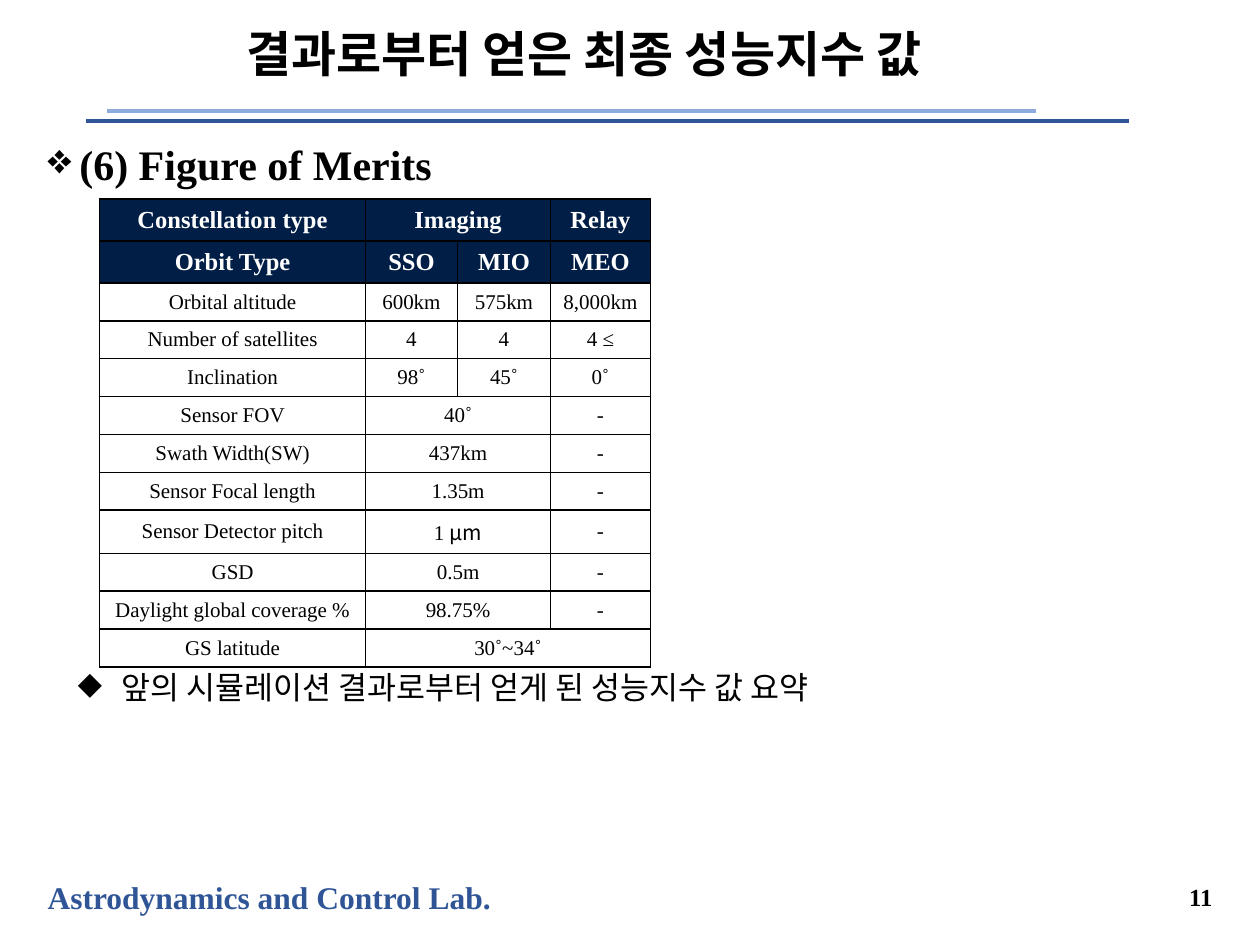
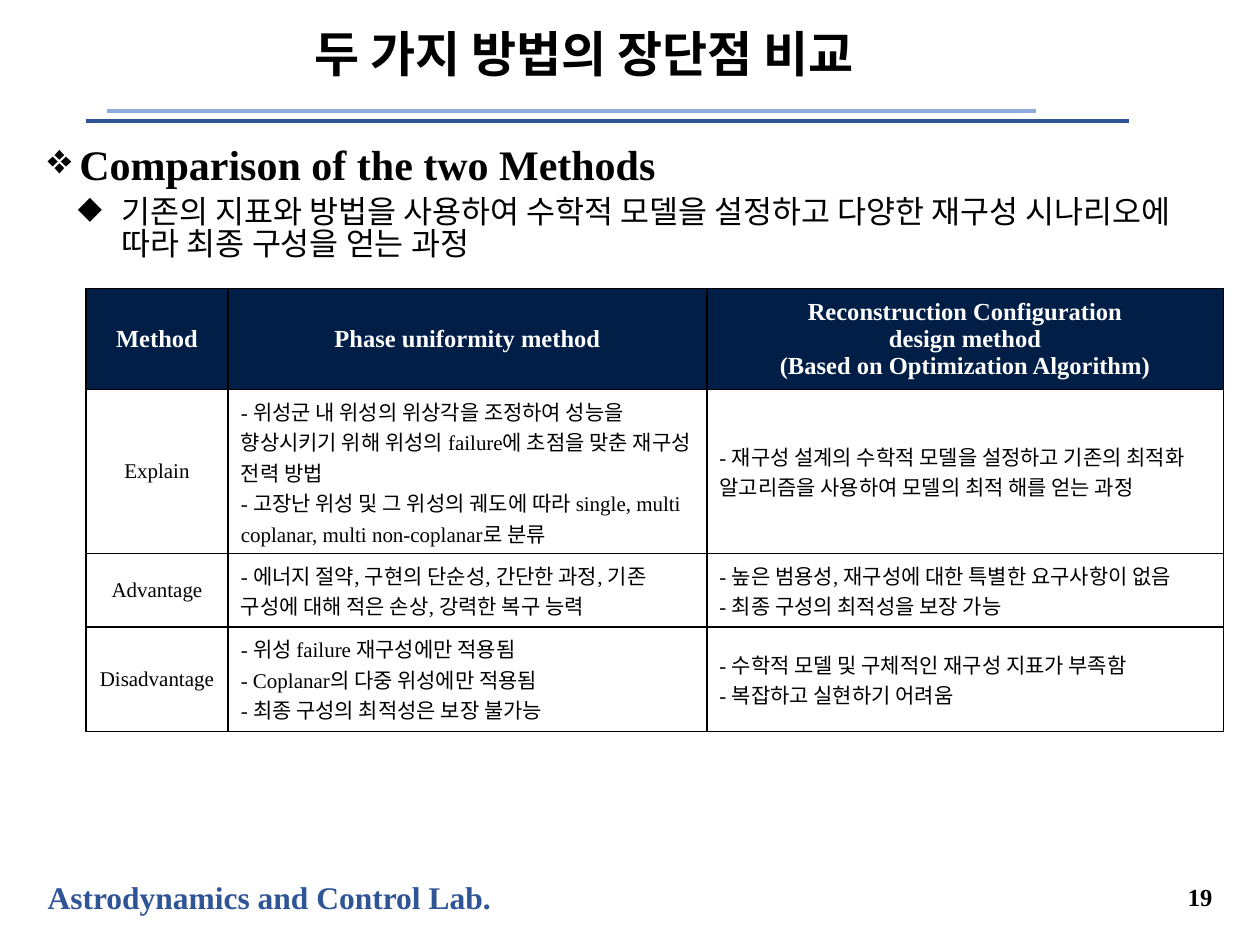
from lxml import etree
from pptx import Presentation
from pptx.dml.color import RGBColor
from pptx.enum.shapes import MSO_CONNECTOR
from pptx.enum.text import MSO_ANCHOR, MSO_AUTO_SIZE, PP_ALIGN
from pptx.oxml.ns import qn
from pptx.util import Cm, Pt

STRAIGHT = MSO_CONNECTOR.STRAIGHT
MIDDLE = MSO_ANCHOR.MIDDLE
LEFT, CENTER, RIGHT = PP_ALIGN.LEFT, PP_ALIGN.CENTER, PP_ALIGN.RIGHT
FIXED = MSO_AUTO_SIZE.NONE

SERIF, HANGUL = "Times New Roman", "Noto Sans CJK KR"
BLACK, WHITE, NAVY = "000000", "FFFFFF", "001E46"
BLUE, PALE = "2F5597", "8FAADC"

LAB = "Astrodynamics and Control Lab."
RULES = [(1.73, 22.76, 2.44, BLUE), (2.16, 20.88, 2.24, PALE)]
TITLE_BOX = (2.46, 0.2, 18.62, 1.9)
BODY_BOX = (0.71, 2.59, 23.98, 14.94)
LAB_BOX = (0.71, 17.58, 9.55, 1.02)
PAGE_BOX = (21.97, 17.58, 2.72, 0.99)

SLIDES = [
    {
        "title": "결과로부터 얻은 최종 성능지수 값",
        "page": "11",
        "head": "(6) Figure of Merits",
        "point": "앞의 시뮬레이션 결과로부터 얻게 된 성능지수 값 요약",
        "gap": 277,
        "spot": (2.01, 4.01),
        "cols": [5.36, 1.85, 1.88, 2.01],
        "tall": [0.81] * 2 + [0.73] * 6 + [0.87] + [0.73] * 3,
        "heads": 2,
        "lists": False,
        "rows": [
            ["Constellation type", "Imaging", None, "Relay"],
            ["Orbit Type", "SSO", "MIO", "MEO"],
            ["Orbital altitude", "600km", "575km", "8,000km"],
            ["Number of satellites", "4", "4", "4 ≤"],
            ["Inclination", "98˚", "45˚", "0˚"],
            ["Sensor FOV", "40˚", None, "-"],
            ["Swath Width(SW)", "437km", None, "-"],
            ["Sensor Focal length", "1.35m", None, "-"],
            ["Sensor Detector pitch", "1 μm", None, "-"],
            ["GSD", "0.5m", None, "-"],
            ["Daylight global coverage %", "98.75%", None, "-"],
            ["GS latitude", "30˚~34˚", None, None],
        ],
    },
    {
        "title": "두 가지 방법의 장단점 비교",
        "page": "19",
        "head": "Comparison of the two Methods",
        "point": "기존의 지표와 방법을 사용하여 수학적 모델을 설정하고 "
                 "다양한 재구성 시나리오에 따라 최종 구성을 얻는 과정",
        "gap": 5,
        "spot": (1.73, 5.82),
        "cols": [2.87, 9.65, 10.41],
        "tall": [1.9, 3.3, 1.49, 2.1],
        "heads": 1,
        "lists": True,
        "rows": [
            ["Method", "Phase uniformity method",
             "Reconstruction Configuration\ndesign method\n"
             "(Based on Optimization Algorithm)"],
            ["Explain",
             "- 위성군 내 위성의 위상각을 조정하여 성능을 향상시키기 위해 "
             "위성의 failure에 초점을 맞춘 재구성 전력 방법\n"
             "- 고장난 위성 및 그 위성의 궤도에 따라 single, "
             "multi coplanar, multi non-coplanar로 분류",
             "- 재구성 설계의 수학적 모델을 설정하고 기존의 최적화 "
             "알고리즘을 사용하여 모델의 최적 해를 얻는 과정"],
            ["Advantage",
             "- 에너지 절약, 구현의 단순성, 간단한 과정, 기존 구성에 대해 "
             "적은 손상, 강력한 복구 능력",
             "- 높은 범용성, 재구성에 대한 특별한 요구사항이 없음\n"
             "- 최종 구성의 최적성을 보장 가능"],
            ["Disadvantage",
             "- 위성 failure 재구성에만 적용됨\n"
             "- Coplanar의 다중 위성에만 적용됨\n"
             "- 최종 구성의 최적성은 보장 불가능",
             "- 수학적 모델 및 구체적인 재구성 지표가 부족함\n"
             "- 복잡하고 실현하기 어려움"],
        ],
    },
]


def rgb(code):
    """Turn a hex string into a colour."""
    return RGBColor.from_string(code)


def style(part, size, color=BLACK, bold=True, align=LEFT):
    """Format a paragraph and its runs."""
    part.alignment = align
    for run in part.runs:
        font = run.font
        font.size, font.bold = Pt(size), bold
        font.color.rgb = rgb(color)
        font.name = HANGUL if run.text == "μm" else SERIF
        asian = etree.SubElement(run._r.get_or_add_rPr(), qn("a:ea"))
        asian.set("typeface", HANGUL)


def add_box(slide, box, text, wrap=True):
    """Add a text box and return its frame."""
    frame = slide.shapes.add_textbox(*map(Cm, box)).text_frame
    frame.word_wrap = wrap
    frame.text = text
    return frame


def add_mark(part, mark, left, hang):
    """Give a paragraph a hanging bullet."""
    props = part._p.get_or_add_pPr()
    props.set("marL", str(Cm(left)))
    props.set("indent", str(Cm(-hang)))
    etree.SubElement(props, qn("a:buChar")).set("char", mark)


def add_frame(slide, title, page):
    """Place the title, rules, lab name and page number."""
    head = slide.shapes.title
    head.left, head.top, head.width, head.height = map(Cm, TITLE_BOX)
    frame = head.text_frame
    frame.text = title
    frame.word_wrap, frame.auto_size = True, FIXED
    frame.vertical_anchor = MIDDLE
    frame.paragraphs[0].line_spacing = 0.9
    style(frame.paragraphs[0], 28, align=CENTER)
    for start, end, top, color in RULES:
        rule = slide.shapes.add_connector(
            STRAIGHT, Cm(start), Cm(top), Cm(end), Cm(top))
        rule.line.color.rgb = rgb(color)
        rule.line.width = Pt(2.25)
        etree.SubElement(rule._element.spPr, qn("a:effectLst"))
    lab = add_box(slide, LAB_BOX, LAB, wrap=False)
    style(lab.paragraphs[0], 18, BLUE)
    number = add_box(slide, PAGE_BOX, page)
    number.vertical_anchor = MIDDLE
    style(number.paragraphs[0], 14, align=RIGHT)


def add_body(slide, head, point, gap):
    """Add the heading and the point below it."""
    frame = add_box(slide, BODY_BOX, f"{head}\n{point}")
    frame.margin_top = Cm(0.2)
    first, second = frame.paragraphs
    add_mark(first, "❖", 0.64, 0.99)
    style(first, 24)
    second.level = 1
    second.space_before = Pt(gap)
    second.line_spacing = 0.85
    add_mark(second, "◆", 1.5, 0.89)
    style(second, 18, bold=False)


def add_edges(cell):
    """Draw thin black lines around a cell."""
    props = cell._tc.get_or_add_tcPr()
    for side in ("lnL", "lnR", "lnT", "lnB"):
        edge = etree.SubElement(props, qn(f"a:{side}"), w=str(Pt(1)))
        fill = etree.SubElement(edge, qn("a:solidFill"))
        etree.SubElement(fill, qn("a:srgbClr"), val=BLACK)


def fill_cell(cell, text, head, align):
    """Write and format one cell."""
    add_edges(cell)
    cell.fill.solid()
    cell.fill.fore_color.rgb = rgb(NAVY if head else WHITE)
    cell.vertical_anchor = MIDDLE
    if text is None:
        return
    frame = cell.text_frame
    frame.text = text
    if text.endswith("μm"):
        part = frame.paragraphs[0]
        part.text = text[:-2]
        part.add_run().text = "μm"
    for part in frame.paragraphs:
        style(part, 14 if head else 12, WHITE if head else BLACK, head, align)


def add_grid(slide, data):
    """Add the table, merging each cell with the empty ones after it."""
    rows, cols, tall = data["rows"], data["cols"], data["tall"]
    box = (*data["spot"], sum(cols), sum(tall))
    grid = slide.shapes.add_table(len(rows), len(cols), *map(Cm, box)).table
    grid.first_row = grid.horz_banding = False
    for col, width in zip(grid.columns, cols):
        col.width = Cm(width)
    for row, height in zip(grid.rows, tall):
        row.height = Cm(height)
    for r, row in enumerate(rows):
        head = r < data["heads"]
        for c, text in enumerate(row):
            listed = data["lists"] and c and not head
            fill_cell(grid.cell(r, c), text, head, LEFT if listed else CENTER)
            end = c
            while text and end + 1 < len(row) and row[end + 1] is None:
                end += 1
            if end > c:
                grid.cell(r, c).merge(grid.cell(r, end))


def main():
    """Build and save the slides."""
    deck = Presentation()
    deck.slide_width, deck.slide_height = Cm(25.4), Cm(19.05)
    for data in SLIDES:
        slide = deck.slides.add_slide(deck.slide_layouts[5])
        add_frame(slide, data["title"], data["page"])
        add_body(slide, data["head"], data["point"], data["gap"])
        add_grid(slide, data)
    deck.save("out.pptx")


if __name__ == "__main__":
    main()
